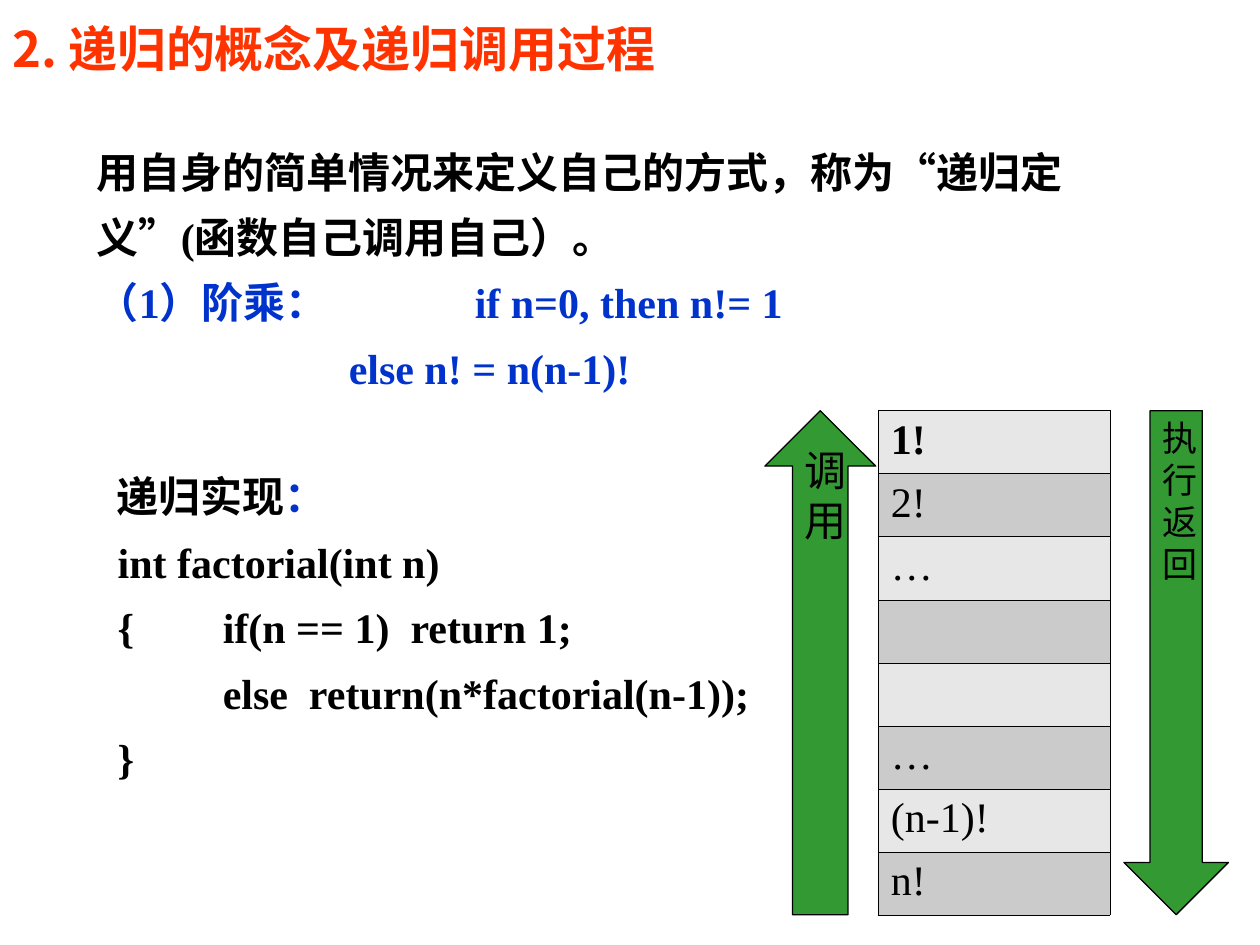
import pptx
import pptx.util
import pptx.dml.color
import pptx.enum.shapes
import pptx.enum.text
import pptx.oxml.ns
from lxml import etree

Inches, Pt = pptx.util.Inches, pptx.util.Pt
RGBColor = pptx.dml.color.RGBColor
SHAPE = pptx.enum.shapes.MSO_SHAPE
ANCHOR = pptx.enum.text.MSO_ANCHOR
qn = pptx.oxml.ns.qn

BLACK = RGBColor(0x00, 0x00, 0x00)
BLUE = RGBColor(0x00, 0x33, 0xCC)
ORANGE = RGBColor(0xFF, 0x33, 0x00)
GREEN = RGBColor(0x33, 0x99, 0x33)
LIGHT = RGBColor(0xE7, 0xE7, 0xE7)
DARK = RGBColor(0xCB, 0xCB, 0xCB)
SERIF, SANS = "Times New Roman", "Noto Sans CJK SC"


def add_text(paragraph, text, size=24, color=BLACK, bold=False, font=SERIF, east_asian=None):
    paragraph.alignment = pptx.enum.text.PP_ALIGN.LEFT
    run = paragraph.add_run()
    run.text = text
    run.font.size, run.font.bold, run.font.name = Pt(size), bold, font
    run.font.color.rgb = color
    if east_asian:
        etree.SubElement(run.font._element, qn("a:ea"), typeface=east_asian)


def set_tab(paragraph, position):
    tabs = etree.SubElement(paragraph._p.get_or_add_pPr(), qn("a:tabLst"))
    etree.SubElement(tabs, qn("a:tab"), pos=str(position), algn="l")


def add_title(slide, left, top, width, height):
    frame = slide.shapes.add_textbox(left, top, width, height).text_frame
    frame.word_wrap = True
    frame.vertical_anchor = ANCHOR.MIDDLE
    add_text(frame.paragraphs[0], "2. 递归的概念及递归调用过程",
             size=28, color=ORANGE, bold=True, font=SANS, east_asian=SANS)


def add_explanation(slide, left, top, width, height):
    """Definition, factorial rule and code; each line has runs, indent, tab and space before."""
    lines = [
        ([("用自身的简单情况来定义自己的方式，称为“递归定义”(函数自己调用自己）。", BLACK)], 0, None, 0),
        ([("（1）阶乘：\tif n=0, then n!= 1", BLUE)], 0, 3, 0),
        ([("else n! = n(n-1)!", BLUE)], 2, None, 0),
        ([("递归实现", BLACK), ("：", BLUE)], 0.16, None, 36),
        ([("  int factorial(int n)", BLACK)], 0, None, 0),
        ([("  {\tif(n == 1)  return 1;", BLACK)], 0, 1, 0),
        ([("\telse  return(n*factorial(n-1));", BLACK)], 0, 1, 0),
        ([("  }", BLACK)], 0, None, 0),
    ]
    frame = slide.shapes.add_textbox(left, top, width, height).text_frame
    frame.word_wrap = True
    frame.auto_size = pptx.enum.text.MSO_AUTO_SIZE.SHAPE_TO_FIT_TEXT
    for index, (runs, indent, tab, space) in enumerate(lines):
        paragraph = frame.add_paragraph() if index else frame.paragraphs[0]
        if tab:
            set_tab(paragraph, Inches(tab))
        if indent:
            paragraph._p.get_or_add_pPr().set("marL", str(Inches(indent)))
        if space:
            paragraph.space_before = Pt(space)
        paragraph.line_spacing = 1.3
        for text, color in runs:
            add_text(paragraph, text, color=color, bold=True)


def add_borders(cell):
    properties = cell._tc.get_or_add_tcPr()
    for position, side in enumerate(("lnL", "lnR", "lnT", "lnB")):
        line = etree.Element(qn(f"a:{side}"), w=str(Pt(0.45)))
        fill = etree.SubElement(line, qn("a:solidFill"))
        etree.SubElement(fill, qn("a:srgbClr"), val=str(BLACK))
        properties.insert(position, line)


def add_call_stack(slide, left, top, width, height):
    calls = ["1!", "2!", "…", "", "", "…", "(n-1)!", "n!"]
    table = slide.shapes.add_table(len(calls), 1, left, top, width, height).table
    table.first_row = table.horz_banding = False
    for index, call in enumerate(calls):
        cell = table.cell(index, 0)
        cell.fill.solid()
        cell.fill.fore_color.rgb = DARK if index % 2 else LIGHT
        add_borders(cell)
        if call:
            add_text(cell.text_frame.paragraphs[0], call, bold=index == 0)


def add_arrow(slide, kind, label, size, left, top, width, height):
    arrow = slide.shapes.add_shape(kind, left, top, width, height)
    arrow.shadow.inherit = False
    arrow.fill.solid()
    arrow.fill.fore_color.rgb = GREEN
    arrow.line.color.rgb = BLACK
    arrow.line.width = Pt(0.75)
    frame = arrow.text_frame
    frame.word_wrap = True
    frame.vertical_anchor = ANCHOR.TOP
    add_text(frame.paragraphs[0], label, size=size)


def main():
    deck = pptx.Presentation()
    deck.slide_width, deck.slide_height = Inches(10), Inches(7.5)
    slide = deck.slides.add_slide(deck.slide_layouts[6])
    add_explanation(slide, Inches(0.67), Inches(0.99), Inches(8.9), Inches(5.3))
    add_title(slide, Inches(0), Inches(0.13), Inches(8.5), Inches(0.5))
    stack_top, stack_height = Inches(3.26), Inches(4)
    add_call_stack(slide, Inches(6.97), stack_top, Inches(1.84), stack_height)
    add_arrow(slide, SHAPE.UP_ARROW, "调用", 24,
              Inches(6.07), stack_top, Inches(0.88), stack_height)
    add_arrow(slide, SHAPE.DOWN_ARROW, "执行返回", 20,
              Inches(8.92), stack_top, Inches(0.83), stack_height)
    deck.save("out.pptx")


if __name__ == "__main__":
    main()
